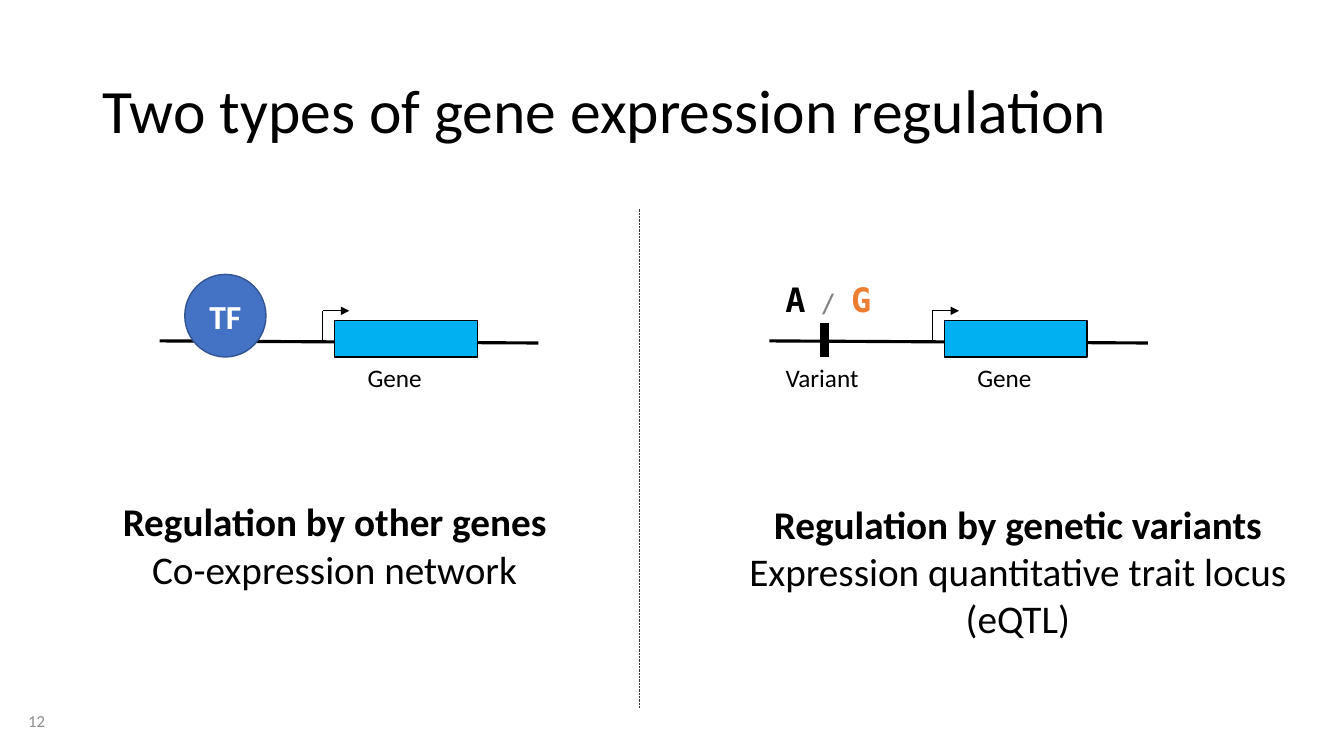
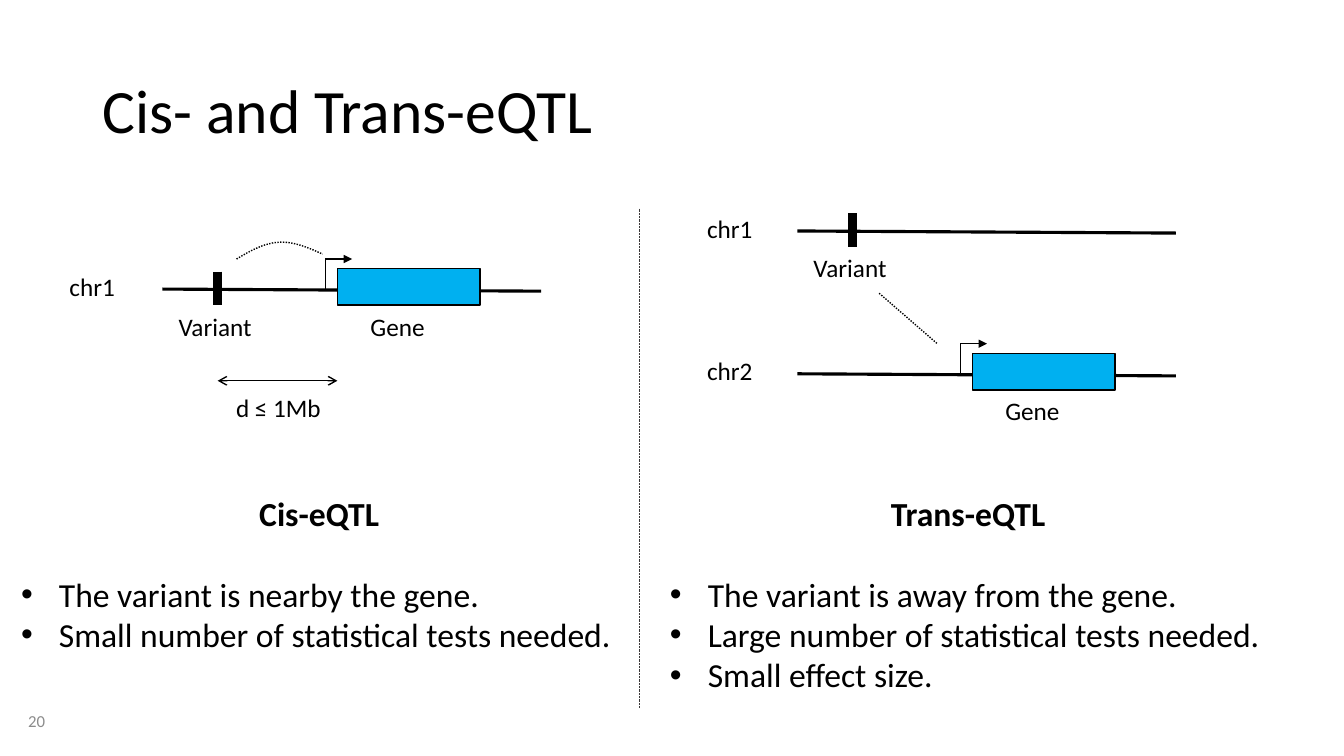
"""Build two slides on gene expression regulation and eQTL types."""
from lxml import etree
from pptx import Presentation
from pptx.dml.color import RGBColor
from pptx.enum import dml, shapes, text
from pptx.oxml import ns
from pptx.util import Pt

COLORS = {
    "ink": "000000",
    "white": "FFFFFF",
    "gene": "00B0F0",
    "factor": "4472C4",
    "factor_edge": "325491",
    "allele": "ED7D31",
    "slash": "808080",
    "number": "8C8C8C",
    "divider": "3B3838",
}
BODY, MONO = "Calibri", "DejaVu Sans Mono"
CENTER, LEFT = text.PP_ALIGN.CENTER, text.PP_ALIGN.LEFT
DOTTED = dml.MSO_LINE.ROUND_DOT


def rgb(name):
    return RGBColor.from_string(COLORS[name])


def write(paragraph, words, size=18, color="ink", bold=False, font=BODY,
          align=LEFT, spacing=None, after=None, bullet=False):
    paragraph.alignment = align
    if spacing:
        paragraph.line_spacing = spacing
    if after:
        paragraph.space_after = Pt(after)
    if bullet:
        props = paragraph._p.get_or_add_pPr()
        props.set("marL", str(Pt(27)))
        props.set("indent", str(-Pt(27)))
        etree.SubElement(props, ns.qn("a:buFont")).set("typeface", "Arial")
        etree.SubElement(props, ns.qn("a:buChar")).set("char", "•")
    run = paragraph.add_run()
    run.text = words
    run.font.name = font
    run.font.size = Pt(size)
    run.font.bold = bold
    run.font.color.rgb = rgb(color)


class Deck:
    def __init__(self):
        self.show = Presentation()
        self.show.slide_width, self.show.slide_height = Pt(960), Pt(540)
        self.slide = None

    def new_slide(self, heading, number):
        self.slide = self.show.slides.add_slide(self.show.slide_layouts[5])
        title = self.slide.shapes.title
        title.left, title.top, title.width, title.height = map(Pt, (66, 29, 828, 104))
        frame = title.text_frame
        frame.auto_size = text.MSO_AUTO_SIZE.NONE
        frame.vertical_anchor = text.MSO_ANCHOR.MIDDLE
        write(frame.paragraphs[0], heading, size=44, spacing=0.9)
        self.line(457, 149, 457, 505.5, width=0.5, color="divider", dash=DOTTED)
        footer = self.box(13, 500.5, 106, 28.5)
        footer.vertical_anchor = text.MSO_ANCHOR.MIDDLE
        write(footer.paragraphs[0], number, size=12, color="number")

    def box(self, left, top, width, height):
        frame = self.slide.shapes.add_textbox(*map(Pt, (left, top, width, height))).text_frame
        frame.word_wrap = True
        return frame

    def label(self, words, left, top, width=82):
        write(self.box(left, top, width, 29).paragraphs[0], words)

    def block(self, left, top, width, height, paragraphs, **shared):
        frame = self.box(left, top, width, height)
        for index, (words, form) in enumerate(paragraphs):
            paragraph = frame.add_paragraph() if index else frame.paragraphs[0]
            write(paragraph, words, **shared, **form)

    def stroke(self, line, width, color="ink", dash=None):
        line.color.rgb = rgb(color)
        line.width = Pt(width)
        if dash:
            line.dash_style = dash

    def line(self, x1, y1, x2, y2, width=1, color="ink", dash=None, head=None, tail=None):
        link = self.slide.shapes.add_connector(
            shapes.MSO_CONNECTOR.STRAIGHT, *map(Pt, (x1, y1, x2, y2)))
        self.stroke(link.line, width, color, dash)
        outline = link.line._get_or_add_ln()
        for tag, kind in (("a:headEnd", head), ("a:tailEnd", tail)):
            if kind:
                etree.SubElement(outline, ns.qn(tag)).set("type", kind)
        etree.SubElement(link._element.spPr, ns.qn("a:effectLst"))

    def solid(self, kind, left, top, width, height, fill, edge="ink"):
        shape = self.slide.shapes.add_shape(kind, *map(Pt, (left, top, width, height)))
        shape.shadow.inherit = False
        shape.fill.solid()
        shape.fill.fore_color.rgb = rgb(fill)
        self.stroke(shape.line, 1, edge)
        return shape

    def curve(self, start, *segments, steps=12):
        points = []
        corner = start
        for segment in segments:
            controls = (corner, *segment)
            for step in range(1, steps + 1):
                t = step / steps
                weights = ((1 - t) ** 3, 3 * t * (1 - t) ** 2, 3 * t * t * (1 - t), t ** 3)
                points.append(tuple(
                    Pt(sum(w * point[axis] for w, point in zip(weights, controls)))
                    for axis in (0, 1)))
            corner = segment[-1]
        builder = self.slide.shapes.build_freeform(*map(Pt, start))
        builder.add_line_segments(points, close=False)
        arc = builder.convert_to_shape()
        arc.shadow.inherit = False
        arc.fill.background()
        self.stroke(arc.line, 1, dash=DOTTED)

    def chromosome(self, x, y, name=None, name_left=0):
        self.line(x, y, x + 270.5, y + 1.5, width=2.25)
        if name:
            self.label(name, name_left, y - 16.5, width=60)

    def gene(self, x, y):
        self.solid(shapes.MSO_SHAPE.RECTANGLE, x + 125, y - 14.5, 102, 26, "gene")
        self.label("Gene", x + 141.5, y + 12)
        self.line(x + 116.5, y, x + 116.5, y - 21.5)
        self.line(x + 116.5, y - 21.5, x + 135.5, y - 21.5, tail="triangle")

    def variant(self, x, y):
        self.line(x + 39.5, y - 12.5, x + 39.5, y + 11.5, width=6)
        self.label("Variant", x + 4.5, y + 12)

    def transcription_factor(self, x, y):
        factor = self.solid(shapes.MSO_SHAPE.OVAL, x + 18, y - 47.5, 58, 59,
                            "factor", "factor_edge")
        frame = factor.text_frame
        frame.margin_left = frame.margin_right = 0
        frame.vertical_anchor = text.MSO_ANCHOR.MIDDLE
        write(frame.paragraphs[0], "TF", size=24, color="white", bold=True, align=CENTER)

    def alleles(self, x, y):
        paragraph = self.box(x + 4.5, y - 47.5, 102, 36).paragraphs[0]
        write(paragraph, "A", size=24, bold=True, font=MONO)
        write(paragraph, " / ", color="slash", font=MONO)
        write(paragraph, "G", size=24, color="allele", bold=True, font=MONO)

    def caption(self, left, top, heading, *lines):
        self.block(left, top, 410, 109,
                   [(heading, {"bold": True})] + [(words, {}) for words in lines],
                   size=28, align=CENTER)

    def findings(self, left, heading, *points):
        self.block(left, 348.5, 440, 153,
                   [(heading, {"bold": True, "align": CENTER, "after": 29})]
                   + [(words, {"bullet": True}) for words in points], size=24)


def regulation_types(deck):
    deck.new_slide("Two types of gene expression regulation", "12")
    y = 243.5
    for x in (114, 549.5):
        deck.chromosome(x, y)
        deck.gene(x, y)
    deck.transcription_factor(114, y)
    deck.variant(549.5, y)
    deck.alleles(549.5, y)
    deck.caption(34, 352, "Regulation by other genes", "Co-expression network")
    deck.caption(522, 354, "Regulation by genetic variants",
                 "Expression quantitative trait locus", "(eQTL)")


def cis_and_trans(deck):
    deck.new_slide("Cis- and Trans-eQTL", "20")
    x, y = 116, 206.5
    deck.chromosome(x, y, "chr1", 42.5)
    deck.gene(x, y)
    deck.variant(x, y)
    deck.curve((169, 185), ((179, 179), (189, 173.5), (199.5, 173)),
               ((209.5, 172.5), (219.5, 176.5), (230.5, 181.5)))
    deck.line(x + 39.5, 272, x + 125, 272, head="arrow", tail="arrow")
    deck.label("d ≤ 1Mb", 161.5, 277, width=85)
    deck.findings(8, "Cis-eQTL", "The variant is nearby the gene.",
                  "Small number of statistical tests needed.")

    x, variant_y, gene_y = 569.5, 165, 267
    deck.chromosome(x, variant_y, "chr1", 498)
    deck.variant(x, variant_y)
    deck.chromosome(x, gene_y, "chr2", 498)
    deck.gene(x, gene_y)
    deck.line(628, 209.5, 669.5, 245.5, dash=DOTTED)
    deck.findings(471.5, "Trans-eQTL", "The variant is away from the gene.",
                  "Large number of statistical tests needed.", "Small effect size.")


def main():
    deck = Deck()
    regulation_types(deck)
    cis_and_trans(deck)
    deck.show.save("out.pptx")


if __name__ == "__main__":
    main()
